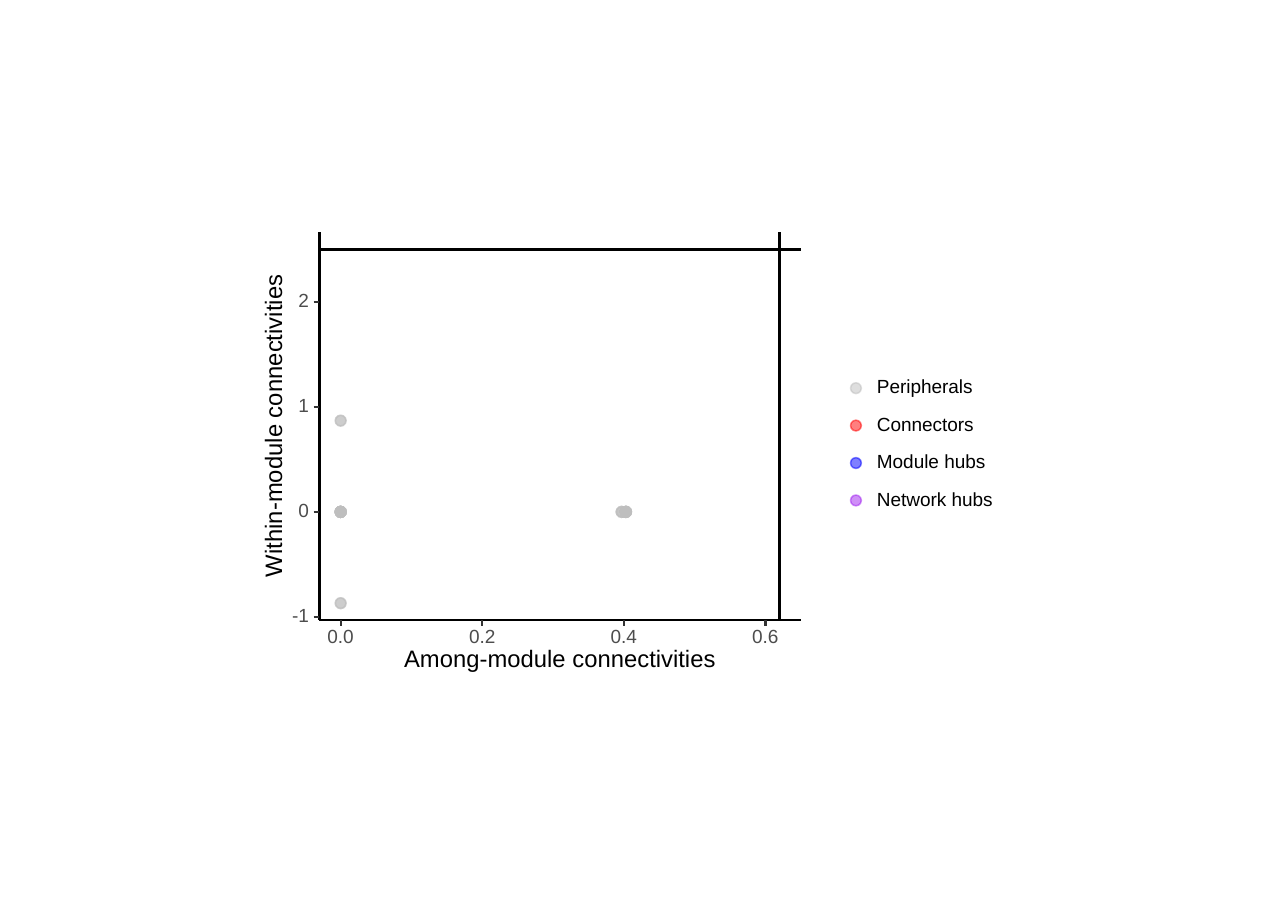
from dataclasses import dataclass

import pptx
import pptx.dml.color
import pptx.enum.shapes
import pptx.enum.text
import pptx.oxml.ns
import pptx.util

Pt = pptx.util.Pt
qn = pptx.oxml.ns.qn
ALIGN = pptx.enum.text.PP_ALIGN


@dataclass(frozen=True)
class Theme:
    """Colours, type and line sizes of the slide."""
    font: str = "Arial"
    ink: str = "000000"
    tick: str = "333333"
    tick_text: str = "4D4D4D"
    peripheral: str = "BEBEBE"
    connector: str = "FF0000"
    module_hub: str = "0000FF"
    network_hub: str = "A020F0"
    small: float = 8.8
    large: float = 11
    rule: float = 1.07
    dot_line: float = 0.71
    dot_size: float = 5
    dot_alpha: int = 50


THEME = Theme()


@dataclass(frozen=True)
class Scale:
    """Turns values on one axis into points on the slide."""
    zero: float
    unit: float
    low: float
    high: float

    def at(self, value):
        """Give the place of a value."""
        return self.zero + value * self.unit

    @property
    def start(self):
        """Give the place of the lowest value."""
        return self.at(self.low)

    @property
    def end(self):
        """Give the place of the highest value."""
        return self.at(self.high)

    @property
    def middle(self):
        """Give the middle of the axis."""
        return (self.start + self.end) / 2


AMONG = Scale(zero=157.5, unit=327.2, low=-0.03, high=0.65)
WITHIN = Scale(zero=236.7, unit=-48.5, low=-1.03, high=2.67)
HUB_AMONG, HUB_WITHIN = 0.62, 2.5
TICK_LENGTH = 2.7

# among-module, within-module, sideways shift in points, number of nodes
NODES = [
    (0, 0, 0, 11),
    (0.4, 0, -1, 3),
    (0.4, 0, 1, 8),
    (0, -0.87, 0, 2),
    (0, 0.87, 0, 2),
]

LEGEND = [
    ("Peripherals", THEME.peripheral),
    ("Connectors", THEME.connector),
    ("Module hubs", THEME.module_hub),
    ("Network hubs", THEME.network_hub),
]


def rgb(value):
    """Turn a hex string into a colour."""
    return pptx.dml.color.RGBColor.from_string(value)


def add_dot(s, x, y, color):
    """Add a half transparent dot centred on a point."""
    size = THEME.dot_size
    dot = s.shapes.add_shape(pptx.enum.shapes.MSO_SHAPE.OVAL, Pt(x - size / 2),
                             Pt(y - size / 2), Pt(size), Pt(size))
    dot.shadow.inherit = False
    dot.fill.solid()
    dot.fill.fore_color.rgb = rgb(color)
    dot.line.color.rgb = rgb(color)
    dot.line.width = Pt(THEME.dot_line)
    for element in dot._element.spPr.iter(qn("a:srgbClr")):
        alpha = {"val": str(THEME.dot_alpha * 1000)}
        element.append(element.makeelement(qn("a:alpha"), alpha))


def add_line(s, x1, y1, x2, y2, color=THEME.ink):
    """Add a straight line without a shadow."""
    line = s.shapes.add_connector(pptx.enum.shapes.MSO_CONNECTOR.STRAIGHT,
                                  Pt(x1), Pt(y1), Pt(x2), Pt(y2))
    line.line.color.rgb = rgb(color)
    line.line.width = Pt(THEME.rule)
    sp_pr = line._element.spPr
    sp_pr.append(sp_pr.makeelement(qn("a:effectLst"), {}))


def add_label(s, text, x, y, width, size=THEME.small, color=THEME.ink,
              align=ALIGN.CENTER, rotation=0):
    """Add one line of text; x is its left, middle or right by alignment."""
    offset = {ALIGN.LEFT: 0, ALIGN.CENTER: width / 2, ALIGN.RIGHT: width}[align]
    height = size + 2
    box = s.shapes.add_textbox(Pt(x - offset), Pt(y - height / 2),
                               Pt(width), Pt(height))
    box.rotation = rotation
    tf = box.text_frame
    values = {"margin_left": 0, "margin_right": 0, "margin_top": 0,
              "margin_bottom": 0, "word_wrap": True,
              "vertical_anchor": pptx.enum.text.MSO_ANCHOR.MIDDLE}
    for name, value in values.items():
        setattr(tf, name, value)
    p = tf.paragraphs[0]
    p.alignment = align
    p.line_spacing = Pt(size)
    r = p.add_run()
    r.text = text
    for name, value in {"name": THEME.font, "size": Pt(size)}.items():
        setattr(r.font, name, value)
    r.font.color.rgb = rgb(color)


def add_nodes(s):
    """Add a dot for every node."""
    for among, within, shift, count in NODES:
        for _ in range(count):
            add_dot(s, AMONG.at(among) + shift, WITHIN.at(within), THEME.peripheral)


def add_rules(s):
    """Add the two thresholds and the two axis lines."""
    for value in (HUB_AMONG, AMONG.low):
        x = AMONG.at(value)
        add_line(s, x, WITHIN.start, x, WITHIN.end)
    for value in (HUB_WITHIN, WITHIN.low):
        y = WITHIN.at(value)
        add_line(s, AMONG.start, y, AMONG.end, y)


def add_among_axis(s):
    """Add the ticks, tick labels and title of the horizontal axis."""
    bottom = WITHIN.start
    for step in range(4):
        value = step * 0.2
        x = AMONG.at(value)
        add_line(s, x, bottom + TICK_LENGTH, x, bottom, THEME.tick)
        add_label(s, f"{value:.1f}", x, bottom + 8.2, 20, color=THEME.tick_text)
    add_label(s, "Among-module connectivities", AMONG.middle, bottom + 18.7, 160,
              size=THEME.large)


def add_within_axis(s):
    """Add the ticks, tick labels and title of the vertical axis."""
    left = AMONG.start
    for value in range(-1, 3):
        y = WITHIN.at(value)
        add_line(s, left - TICK_LENGTH, y, left, y, THEME.tick)
        add_label(s, str(value), left - 4.9, y, 12, color=THEME.tick_text,
                  align=ALIGN.RIGHT)
    add_label(s, "Within-module connectivities", left - 20.5, WITHIN.middle, 160,
              size=THEME.large, rotation=270)


def add_legend(s, x, first_y, pitch):
    """Add one dot and label per kind of node."""
    for row, (text, color) in enumerate(LEGEND):
        y = first_y + row * pitch
        add_dot(s, x, y, color)
        add_label(s, text, x + 9.7, y, 80, align=ALIGN.LEFT)


def main():
    """Build the slide and save it."""
    prs = pptx.Presentation()
    prs.slide_width, prs.slide_height = Pt(595.4), Pt(419.8)
    s = prs.slides.add_slide(prs.slide_layouts[6])
    add_nodes(s)
    add_rules(s)
    add_among_axis(s)
    add_within_axis(s)
    add_legend(s, 395.7, 179.5, 17.3)
    prs.save("out.pptx")


main()
